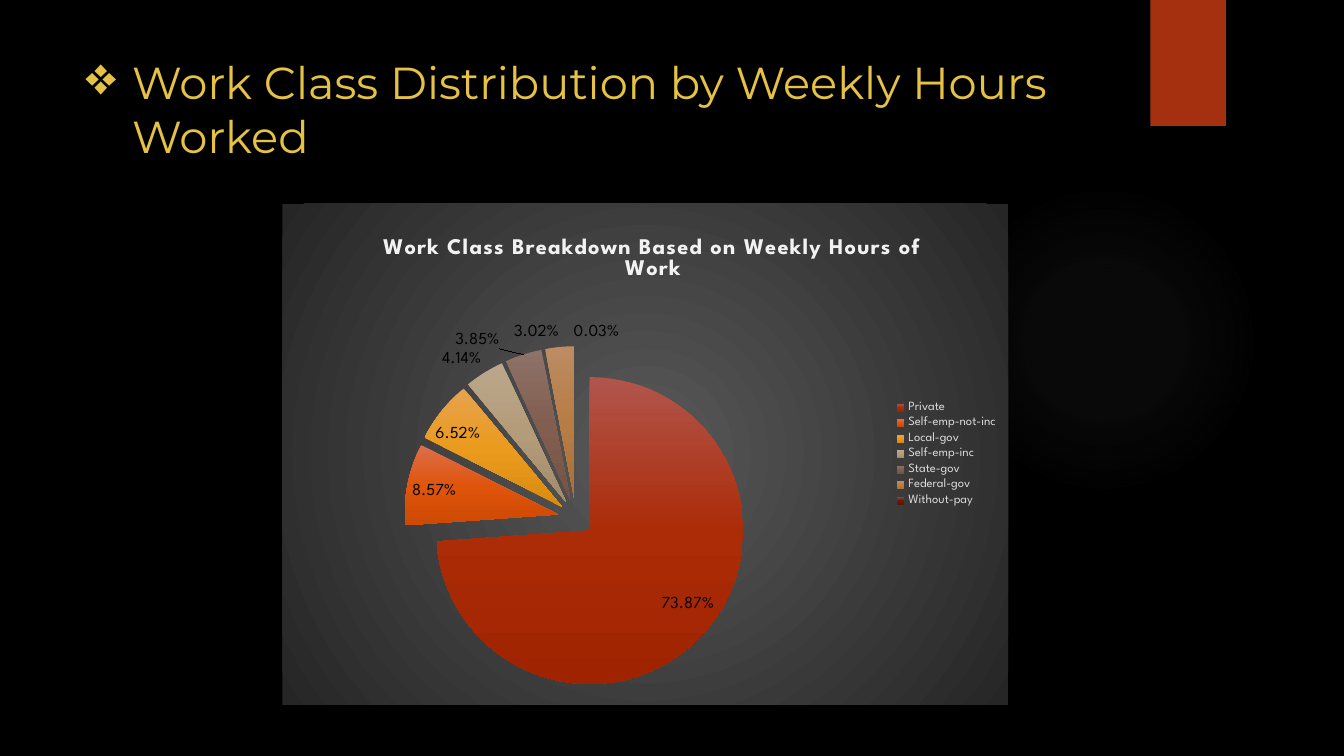
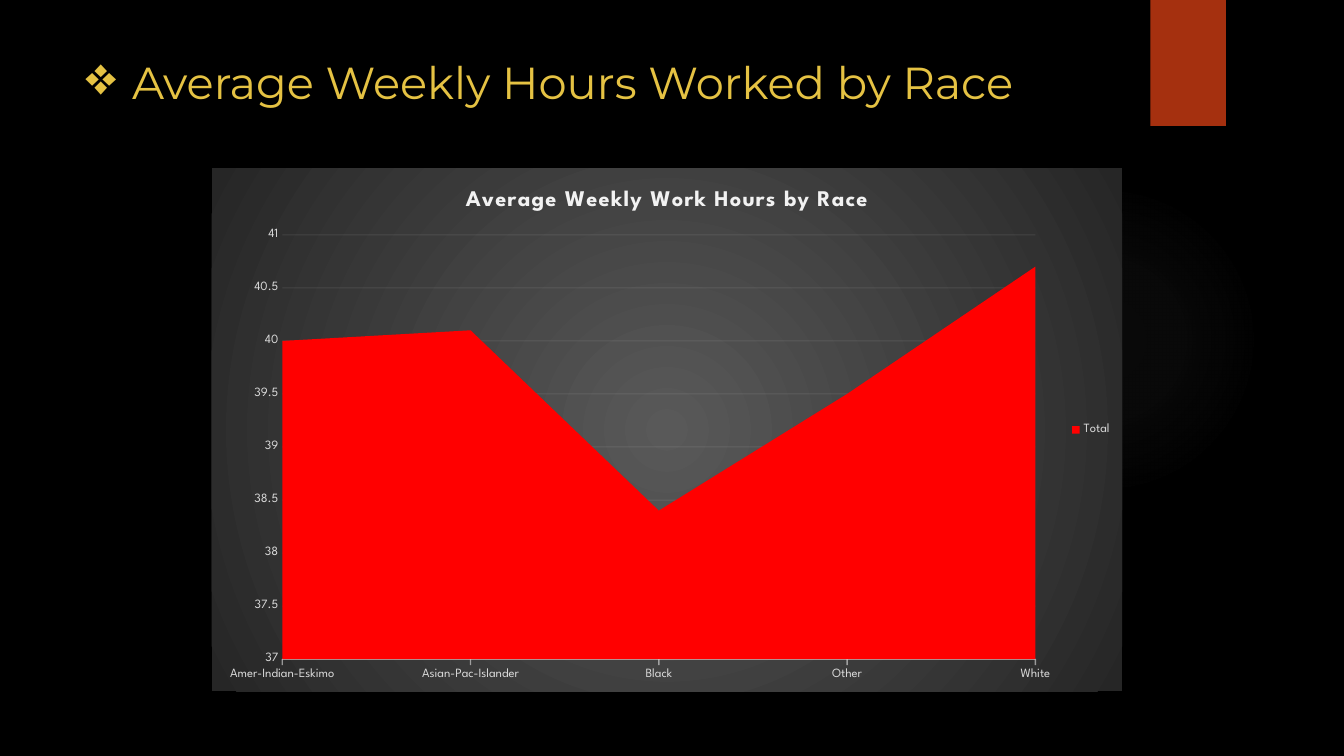
"""Build two slides that chart weekly working hours by work class and by race."""
from lxml import etree
from pptx import Presentation
from pptx.chart.data import CategoryChartData
from pptx.dml.color import RGBColor
from pptx.enum.chart import XL_CHART_TYPE, XL_LABEL_POSITION, XL_LEGEND_POSITION, XL_TICK_MARK
from pptx.enum.shapes import MSO_SHAPE
from pptx.enum.text import MSO_ANCHOR, MSO_AUTO_SIZE, PP_ALIGN
from pptx.oxml import parse_xml
from pptx.util import Inches, Pt

PIE, AREA = XL_CHART_TYPE.PIE, XL_CHART_TYPE.AREA
OUTSIDE, NO_TICK = XL_TICK_MARK.OUTSIDE, XL_TICK_MARK.NONE
BEST_FIT, RIGHT = XL_LABEL_POSITION.BEST_FIT, XL_LEGEND_POSITION.RIGHT
RECTANGLE, OVAL = MSO_SHAPE.RECTANGLE, MSO_SHAPE.OVAL
TOP, LEFT, NO_FIT = MSO_ANCHOR.TOP, PP_ALIGN.LEFT, MSO_AUTO_SIZE.NONE

TITLE_FONT, CHART_FONT = "Montserrat", "League Spartan"
BLACK, RUST, GOLD, RED = "000000", "A5300F", "E5C243", "FF0000"
PALE, SOFT = "F2F2F2", "D9D9D9"
GLOW = [(0, "848484", 7), (36, "848484", 6), (69, "848484", 0)]
PANEL = [(0, "595959", 100), (100, "262626", 100)]

WORK_CLASSES = [
    ("Private", 73.87, ("B1554C", "AC2C08", "A02300")),
    ("Self-emp-not-inc", 8.57, ("DE6E4C", "DF550C", "CE4903")),
    ("Local-gov", 6.52, ("E6A351", "EA9A1C", "DB8B0E")),
    ("Self-emp-inc", 4.14, ("BAA78C", "B49C7A", "A38C6A")),
    ("State-gov", 3.85, ("8E7369", "815E50", "755345")),
    ("Federal-gov", 3.02, ("BC8C63", "B77D44", "A86F38")),
    ("Without-pay", 0.03, ("784E4B", "671A05", "601500")),
]
RACES = [
    ("Amer-Indian-Eskimo", 40),
    ("Asian-Pac-Islander", 40.1),
    ("Black", 38.4),
    ("Other", 39.5),
    ("White", 40.7),
]
SLIDES = [
    {
        "title": "Work Class Distribution by Weekly Hours Worked",
        "kind": PIE, "place": (2.8, 2.02, 7.2, 4.97),
        "caption": "Work Class Breakdown Based on Weekly Hours of Work",
        "caption_at": (0.96, 0.28), "plot_at": (1.21, 1.32, 3.41, 3.7),
        "series": "Series 1", "rows": WORK_CLASSES,
    },
    {
        "title": "Average Weekly Hours Worked by Race",
        "kind": AREA, "place": (2.1, 1.67, 9.03, 5.19),
        "caption": "Average Weekly Work Hours by Race",
        "caption_at": (2.48, 0.16), "plot_at": (0.7, 0.66, 7.47, 4.21),
        "series": "Total", "rows": RACES,
    },
]
DRAWING = "http://schemas.openxmlformats.org/drawingml/2006/main"
CHART = "http://schemas.openxmlformats.org/drawingml/2006/chart"


def xml(text):
    head, mark, rest = text.partition(">")
    close = "/" if head.endswith("/") else ""
    names = f' xmlns:a="{DRAWING}" xmlns:c="{CHART}"'
    return parse_xml(head.rstrip("/") + names + close + mark + rest)


def color(value):
    return RGBColor.from_string(value)


def inches(place):
    return [Inches(length) for length in place]


def style(font, size, value, name=CHART_FONT, bold=False):
    font.size, font.name, font.bold = Pt(size), name, bold
    font.color.rgb = color(value)


def gradient(stops, radial):
    marks = "".join(
        f'<a:gs pos="{at * 1000}"><a:srgbClr val="{value}">'
        f'<a:alpha val="{alpha * 1000}"/></a:srgbClr></a:gs>'
        for at, value, alpha in stops)
    center = '<a:fillToRect l="50000" t="50000" r="50000" b="50000"/>'
    way = (f'<a:path path="circle">{center}</a:path>' if radial
           else '<a:lin ang="5400000" scaled="0"/>')
    return f'<a:gradFill rotWithShape="1"><a:gsLst>{marks}</a:gsLst>{way}</a:gradFill>'


def swap(old, new):
    old.getparent().replace(old, xml(new))


def add_decor(page, shape_type, place, value):
    shape = page.shapes.add_shape(shape_type, *inches(place))
    shape.shadow.inherit = False
    shape.fill.solid()
    shape.fill.fore_color.rgb = color(value)
    shape.line.fill.background()
    return shape.element


def decorate(page, layout):
    glow = add_decor(page, OVAL, (9.41, 1.83, 3.08, 3.08), GLOW[0][1])
    swap(glow.xpath("./p:spPr/a:solidFill")[0], gradient(GLOW, True))
    ribbon = add_decor(page, RECTANGLE, (11.41, 0, 0.75, 1.25), RUST)
    ribbon.xpath("./p:spPr/a:effectLst")[0].append(xml(
        f'<a:outerShdw blurRad="{Pt(3)}" dist="{Pt(2)}" dir="5400000" rotWithShape="0">'
        f'<a:srgbClr val="{BLACK}"><a:alpha val="45000"/></a:srgbClr></a:outerShdw>'))
    for element in (glow, ribbon):
        layout.shapes.element.append(element)


def add_title(page, text):
    box = page.shapes.title
    box.left, box.top, box.width, box.height = inches((0.71, 0.49, 10.29, 1.53))
    frame = box.text_frame
    frame.word_wrap, frame.auto_size, frame.vertical_anchor = True, NO_FIT, TOP
    para = frame.paragraphs[0]
    para.alignment = LEFT
    span = para.add_run()
    span.text = text
    style(span.font, 32, GOLD, TITLE_FONT)
    settings = box.element.xpath(".//a:pPr")[0]
    settings.set("marL", str(Inches(0.5)))
    settings.set("indent", str(Inches(-0.46)))
    settings.append(xml('<a:buSzPct val="120000"/>'))
    settings.append(xml('<a:buChar char="❖"/>'))


def set_layout(parent, index, place, size, target=""):
    for old in parent.xpath("./c:layout"):
        parent.remove(old)
    modes = "".join(f'<c:{axis}Mode val="edge"/>' for axis in "xy")
    shares = "".join(f'<c:{side} val="{length / whole:.4f}"/>'
                     for side, length, whole in zip("xywh", place, size * 2))
    parent.insert(index, xml(
        f"<c:layout><c:manualLayout>{target}{modes}{shares}</c:manualLayout></c:layout>"))


def add_chart(page, slide):
    data = CategoryChartData()
    data.categories = [row[0] for row in slide["rows"]]
    data.add_series(slide["series"], [row[1] for row in slide["rows"]])
    chart = page.shapes.add_chart(slide["kind"], *inches(slide["place"]), data).chart
    style(chart.font, 10, "FFFFFF")
    chart.has_title = True
    span = chart.chart_title.text_frame.paragraphs[0].add_run()
    span.text = slide["caption"]
    style(span.font, 16, PALE, bold=True)
    chart.has_legend = True
    chart.legend.position = RIGHT
    chart.legend.include_in_layout = False
    style(chart.legend.font, 9, SOFT)
    root, size = chart.element, slide["place"][2:]
    root.xpath("./c:chart/c:title//a:r/a:rPr")[0].set("spc", "100")
    set_layout(root.xpath("./c:chart/c:title")[0], 1, slide["caption_at"], size)
    set_layout(root.xpath(".//c:plotArea")[0], 0, slide["plot_at"], size,
               '<c:layoutTarget val="inner"/>')
    root.xpath("./c:chart")[0].addnext(xml(
        f"<c:spPr>{gradient(PANEL, True)}<a:ln><a:noFill/></a:ln></c:spPr>"))
    return chart


def format_pie(chart, rows):
    plot = chart.plots[0]
    plot.vary_by_categories = True
    series = plot.series[0]
    for index, row in enumerate(rows):
        form = series.points[index].format
        form.fill.solid()
        form.fill.fore_color.rgb = color(row[2][0])
        form.line.fill.background()
    slices = chart.element.xpath(".//c:dPt")
    for part, row in zip(slices, rows):
        stops = [(at, value, 100) for at, value in zip((0, 50, 100), row[2])]
        swap(part.xpath("./c:spPr/a:solidFill")[0], gradient(stops, False))
    slices[0].addprevious(xml('<c:explosion val="12"/>'))
    labels = series.data_labels
    labels.show_value, labels.show_percentage = False, True
    labels.number_format, labels.number_format_is_linked = "0.00%", False
    labels.position = BEST_FIT
    style(labels.font, 12, BLACK)


def format_line(line, width, opacity, holder):
    line.width = Pt(width)
    line.color.rgb = color(PALE)
    shade = holder.xpath("./c:spPr/a:ln//a:srgbClr")[0]
    etree.SubElement(shade, f"{{{DRAWING}}}alpha").set("val", str(opacity * 1000))


def format_area(chart):
    plot = chart.plots[0]
    plot.vary_by_categories = False
    fill = plot.series[0].format.fill
    fill.solid()
    fill.fore_color.rgb = color(RED)
    root = chart.element
    across, upright = chart.category_axis, chart.value_axis
    for axis, tick in ((across, OUTSIDE), (upright, NO_TICK)):
        axis.major_tick_mark, axis.minor_tick_mark = tick, NO_TICK
        style(axis.tick_labels.font, 9, SOFT)
    across.has_major_gridlines = False
    format_line(across.format.line, 1, 54,
                root.xpath(".//c:plotArea/c:catAx|.//c:plotArea/c:dateAx")[0])
    upright.minimum_scale, upright.maximum_scale, upright.major_unit = 37, 41, 0.5
    upright.tick_labels.number_format = "General"
    upright.tick_labels.number_format_is_linked = False
    upright.format.line.fill.background()
    upright.has_major_gridlines = True
    format_line(upright.major_gridlines.format.line, 0.75, 10,
                root.xpath(".//c:valAx/c:majorGridlines")[0])
    for crossing in root.xpath(".//c:valAx/c:crossBetween"):
        crossing.set("val", "midCat")


def main():
    deck = Presentation()
    deck.slide_width, deck.slide_height = inches((13.33, 7.5))
    backdrop = deck.slide_master.background.fill
    backdrop.solid()
    backdrop.fore_color.rgb = color(BLACK)
    layout = deck.slide_layouts[5]
    pages = [deck.slides.add_slide(layout) for _ in SLIDES]
    decorate(pages[0], layout)
    for page, slide in zip(pages, SLIDES):
        add_title(page, slide["title"])
        chart = add_chart(page, slide)
        if slide["kind"] == PIE:
            format_pie(chart, slide["rows"])
        else:
            format_area(chart)
    deck.save("out.pptx")


if __name__ == "__main__":
    main()
